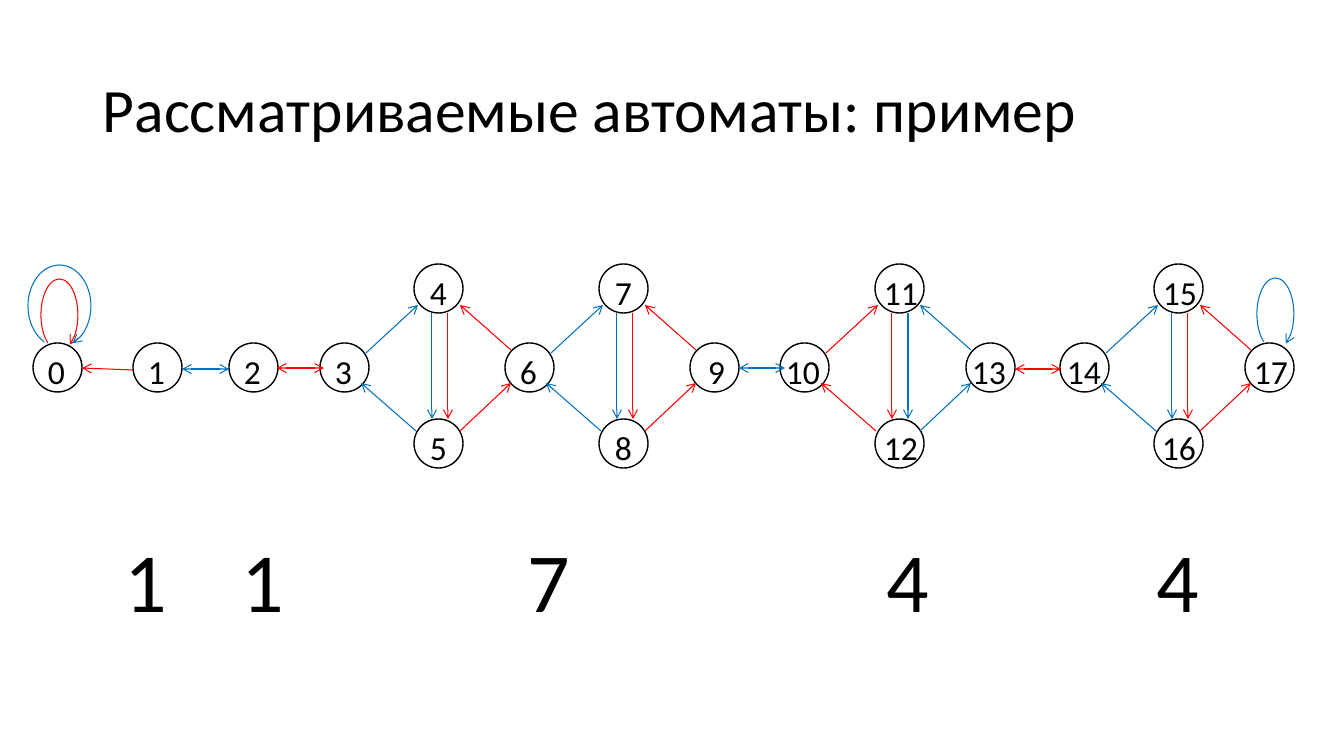
from lxml import etree
from pptx import Presentation
from pptx.dml.color import RGBColor
from pptx.enum.shapes import MSO_CONNECTOR, MSO_SHAPE
from pptx.enum.text import MSO_ANCHOR
from pptx.oxml.ns import qn
from pptx.util import Emu, Pt

STRAIGHT = MSO_CONNECTOR.STRAIGHT
OVAL, ARC = MSO_SHAPE.OVAL, MSO_SHAPE.ARC
TOP, MIDDLE = MSO_ANCHOR.TOP, MSO_ANCHOR.MIDDLE
BLACK = RGBColor(0x00, 0x00, 0x00)
WHITE = RGBColor(0xFF, 0xFF, 0xFF)
RED = RGBColor(0xFF, 0x00, 0x00)
BLUE = RGBColor(0x00, 0x70, 0xC0)
PX = 914400 / 100.8

prs = Presentation()
prs.slide_width, prs.slide_height = Emu(12192000), Emu(6858000)
shapes = prs.slides.add_slide(prs.slide_layouts[6]).shapes


def add_text(text, box, size, spacing=1.0, anchor=TOP):
    tf = shapes.add_textbox(*[Emu(round(v * PX)) for v in box]).text_frame
    tf.word_wrap = True
    tf.vertical_anchor = anchor
    p = tf.paragraphs[0]
    p.text = text
    p.line_spacing = spacing
    p.font.size = Pt(size)
    p.font.name = "Calibri"
    p.font.color.rgb = BLACK
    return p


def style_arrow(sp, color, ends=("tailEnd",)):
    sp.line.color.rgb = color
    sp.line.width = Pt(0.75)
    ln = sp.line._get_or_add_ln()
    for end in ends:
        etree.SubElement(ln, qn("a:" + end)).set("type", "arrow")
    etree.SubElement(ln.getparent(), qn("a:effectLst"))


# Title
add_text("Рассматриваемые автоматы: пример", (93, 40, 1159, 146), 44, 0.9, MIDDLE)

# States: left, top, label shift
ROW, UPPER, LOWER = 343, 264, 419
states = [
    (33, ROW, 5), (133, ROW, 5), (229, ROW, 5),
    (320, ROW, 5), (414, UPPER, 6), (414, LOWER, 6),
    (505, ROW, 5), (599, UPPER, 6), (599, LOWER, 6), (690, ROW, 8),
    (780, ROW, -4), (875, UPPER, -1), (875, LOWER, -1), (966, ROW, -4),
    (1060, ROW, -3), (1154, UPPER, -1), (1154, LOWER, -2), (1245, ROW, -1),
]
for number, (left, top, shift) in enumerate(states):
    sp = shapes.add_shape(OVAL, *[Emu(round(v * PX)) for v in (left, top, 49, 49)])
    sp.shadow.inherit = False
    sp.fill.solid()
    sp.fill.fore_color.rgb = WHITE
    sp.line.color.rgb = BLACK
    sp.line.width = Pt(1)
    add_text(str(number), (left + shift, top, 82, 69), 24, 1.07)

# Diamond edges, measured from the left state of each diamond
edges = []
for left, first, second in [(320, BLUE, RED), (505, BLUE, RED),
                            (780, RED, BLUE), (1060, BLUE, RED)]:
    for x1, y1, x2, y2, color in [
        (46, 353, 98, 305, first), (140, 431, 191, 383, second),
        (191, 350, 140, 305, second), (128, 313, 128, 419, second),
        (112, 313, 112, 419, first), (96, 431, 41, 383, first),
    ]:
        edges.append((left + x1, y1, left + x2, y2, color, ("tailEnd",)))

# Chain edges between neighbouring states
both = ("headEnd", "tailEnd")
edges += [
    (133, 370, 82, 368, RED, ("tailEnd",)),
    (229, 369, 182, 369, BLUE, both),
    (324, 368, 277, 368, RED, both),
    (785, 368, 739, 368, BLUE, both),
    (1061, 369, 1015, 369, RED, both),
]
for x1, y1, x2, y2, color, ends in edges:
    line = shapes.add_connector(STRAIGHT, *[Emu(round(v * PX)) for v in (x1, y1, x2, y2)])
    style_arrow(line, color, ends)

# Loops at the end states
for box, color in [((41, 279, 37, 72), RED), ((28, 265, 63, 82), BLUE),
                   ((1257, 278, 37, 72), BLUE)]:
    loop = shapes.add_shape(ARC, *[Emu(round(v * PX)) for v in box])
    loop.adjustments[0], loop.adjustments[1] = 67.69, 42.49
    loop.fill.background()
    style_arrow(loop, color)

# Row of values, spaced by tab stops
p = add_text("1\t1\t7\t4\t4", (115, 524, 1158, 112), 60)
tabs = etree.SubElement(p._p.get_or_add_pPr(), qn("a:tabLst"))
for stop in (117, 403, 762, 1032):
    etree.SubElement(tabs, qn("a:tab"), pos=str(round(stop * PX)), algn="l")
# Tab stops precede the default run properties
tabs.getparent().find(qn("a:defRPr")).addprevious(tabs)

prs.save("out.pptx")
